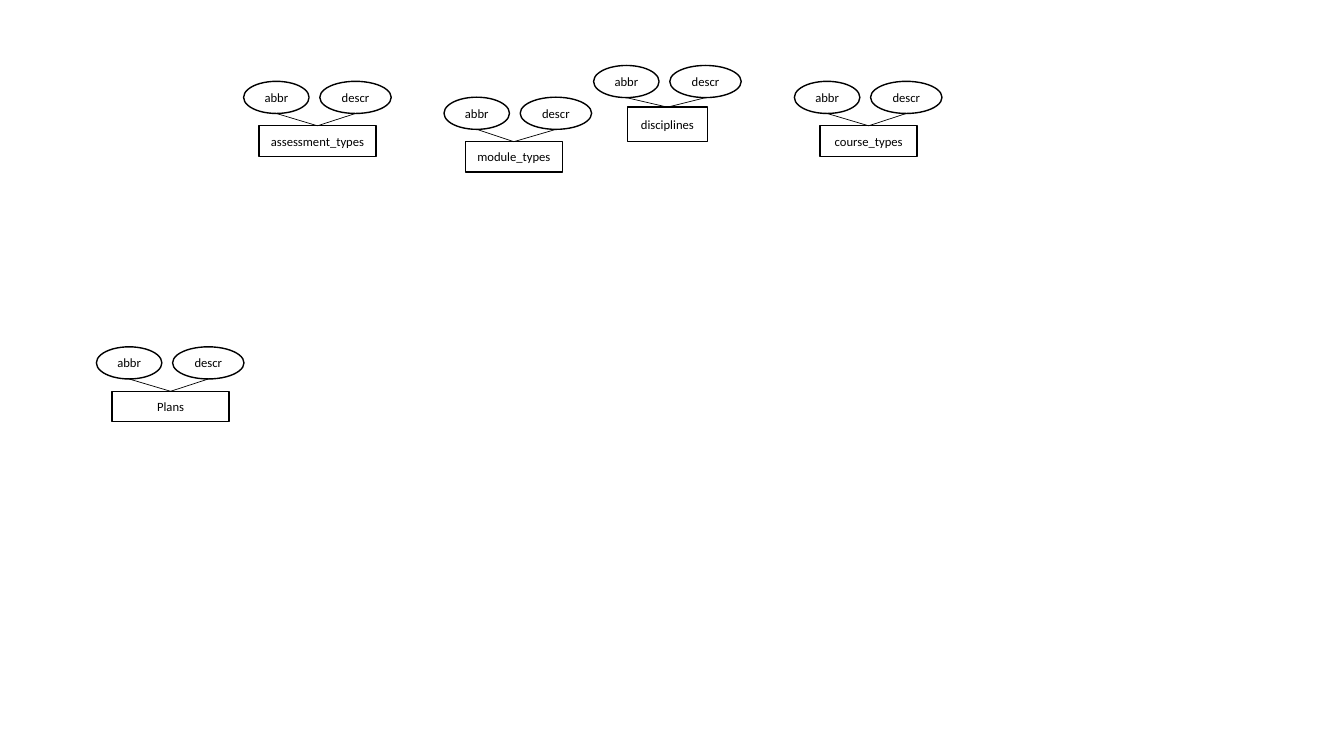
from lxml.etree import SubElement
from pptx import Presentation
from pptx.dml.color import RGBColor
from pptx.enum.shapes import MSO_CONNECTOR as Link, MSO_SHAPE as Preset
from pptx.enum.text import MSO_ANCHOR as Anchor, PP_ALIGN as Align
from pptx.oxml.ns import qn
from pptx.util import Cm, Pt

ENTITIES = [
    {"name": "module_types", "left": 11.19, "top": 2.45, "center": 12.95, "drop": 1.12, "size": (2.44, 0.77)},
    {"name": "disciplines", "left": 14.96, "top": 1.65, "center": 16.82, "drop": 1.05, "size": (2.02, 0.86)},
    {"name": "assessment_types", "left": 6.14, "top": 2.05, "center": 8.0, "drop": 1.12, "size": (2.95, 0.77)},
    {"name": "course_types", "left": 20.02, "top": 2.05, "center": 21.89, "drop": 1.12, "size": (2.44, 0.77)},
    {"name": "Plans", "left": 2.43, "top": 8.74, "center": 4.3, "drop": 1.12, "size": (2.95, 0.77)},
]
ATTRIBUTES = [("abbr", 1.65), ("descr", 1.8)]
ATTRIBUTE_HEIGHT = 0.81
ATTRIBUTE_GAP = 0.27
INK, PAPER = "000000", "FFFFFF"
FRAME_FORMAT = {
    "margin_left": 0, "margin_right": 0, "margin_top": 0, "margin_bottom": 0,
    "word_wrap": True, "vertical_anchor": Anchor.MIDDLE,
}
FONT_FORMAT = {"name": "Calibri", "size": Pt(9)}


def color(value):
    return RGBColor.from_string(value)


def apply(target, values):
    for name, value in values.items():
        setattr(target, name, value)


def draw_line(line, width):
    line.color.rgb = color(INK)
    line.width = Pt(width)


def add_box(preset, text, left, top, width, height):
    box = page.shapes.add_shape(preset, Cm(left), Cm(top), Cm(width), Cm(height))
    box.shadow.inherit = False
    box.fill.solid()
    box.fill.fore_color.rgb = color(PAPER)
    draw_line(box.line, 1)
    apply(box.text_frame, FRAME_FORMAT)
    para = box.text_frame.paragraphs[0]
    para.alignment = Align.CENTER
    span = para.add_run()
    span.text = text
    apply(span.font, FONT_FORMAT)
    span.font.color.rgb = color(INK)
    return box


def add_link(attribute, entity):
    start = attribute.left + attribute.width // 2, attribute.top + attribute.height
    link = page.shapes.add_connector(Link.STRAIGHT, *start, *start)
    link.end_connect(entity, 0)
    draw_line(link.line, 0.5)
    SubElement(link._element.spPr, qn("a:effectLst"))


def add_entity(name, left, top, center, drop, size):
    width, height = size
    entity = add_box(Preset.RECTANGLE, name, center - width / 2, top + drop, width, height)
    attributes = []
    for text, attribute_width in ATTRIBUTES:
        attributes.append(add_box(Preset.OVAL, text, left, top, attribute_width, ATTRIBUTE_HEIGHT))
        left += attribute_width + ATTRIBUTE_GAP
    for attribute in attributes:
        add_link(attribute, entity)


deck = Presentation()
apply(deck, {"slide_width": Cm(33.87), "slide_height": Cm(19.05)})
page = deck.slides.add_slide(deck.slide_layouts[6])
for entity in ENTITIES:
    add_entity(**entity)
deck.save("out.pptx")
